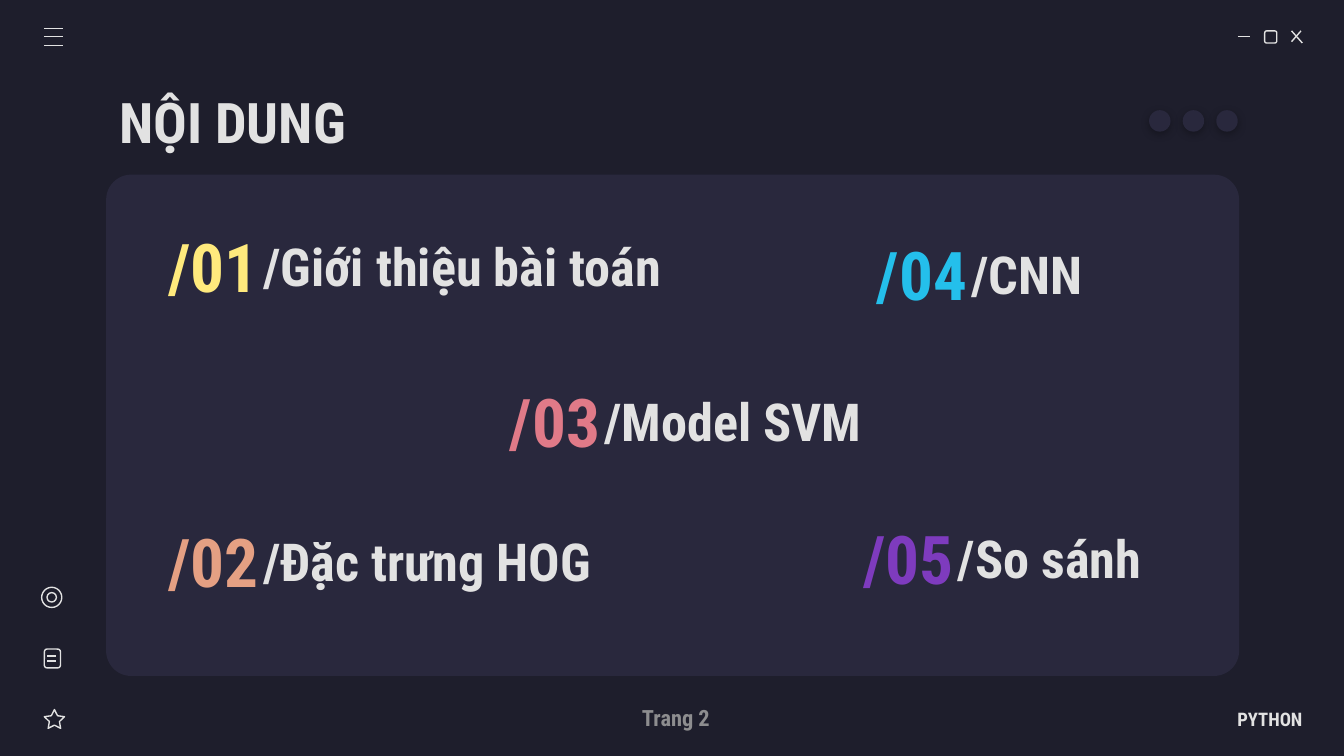
from lxml import etree
from pptx import Presentation
from pptx.dml.color import RGBColor
from pptx.enum.shapes import MSO_CONNECTOR, MSO_SHAPE
from pptx.enum.text import MSO_ANCHOR, PP_ALIGN
from pptx.oxml import parse_xml
from pptx.oxml.ns import nsdecls, qn
from pptx.util import Inches, Pt

LEFT, CENTER, RIGHT = PP_ALIGN.LEFT, PP_ALIGN.CENTER, PP_ALIGN.RIGHT
ROUND, OVAL, STAR = MSO_SHAPE.ROUNDED_RECTANGLE, MSO_SHAPE.OVAL, MSO_SHAPE.STAR_5_POINT
STRAIGHT = MSO_CONNECTOR.STRAIGHT
MIDDLE = MSO_ANCHOR.MIDDLE

FONT = "Roboto Condensed"
BACK, PANEL, LIGHT, GREY = "1E1E2C", "29283D", "E2E2E2", "8D8D8F"

TOPICS = [
    ("/01", "/Giới thiệu bài toán", "FFEA7D", 1.86, 1.7, 3.32),
    ("/02", "/Đặc trưng HOG", "E5A083", 1.86, 3.89, 3.03),
    ("/03", "/Model SVM", "E07A88", 4.4, 2.85, 2.56),
    ("/04", "/CNN", "24BFEB", 7.13, 1.76, 2.56),
    ("/05", "/So sánh", "7E3BBE", 7.03, 3.87, 2.56),
]
TEXTS = [
    ("NỘI DUNG", (0.79, 0.59, 8.43, 0.63), 30, LIGHT, LEFT, 0.1),
    ("PYTHON", (8.52, 5.2, 1.17, 0.3), 10, LIGHT, RIGHT, 0),
    ("Trang 2", (3.13, 5.19, 2.25, 0.3), 12, GREY, RIGHT, 0.1),
]
ICON_SHAPES = [
    (ROUND, (9.41, 0.23, 0.09, 0.09), 0.17),
    (STAR, (0.33, 5.28, 0.15, 0.14), 0.25),
    (ROUND, (0.33, 4.83, 0.12, 0.14), 0.17),
    (OVAL, (0.31, 4.37, 0.15, 0.15), None),
    (OVAL, (0.35, 4.41, 0.07, 0.07), None),
]
WINDOW_LINES = [
    (9.21, 0.27, 9.3, 0.27),
    (9.61, 0.23, 9.69, 0.32),
    (9.68, 0.23, 9.61, 0.31),
]
MENU_LINES = [(0.33, y, 0.47, y) for y in (0.21, 0.27, 0.34)]
NOTE_LINES = [(0.35, y, 0.42, y) for y in (4.88, 4.92)]
DOT_LEFT, DOT_TOP, DOT_SIZE, DOT_STEP, DOT_COUNT = 8.55, 0.82, 0.16, 0.25, 3
NUMBER_OFFSET, NUMBER_WIDTH, TOPIC_HEIGHT = 0.78, 1.02, 0.56

SHADOW = (
    f'<a:effectLst {nsdecls("a")}>'
    '<a:outerShdw blurRad="57150" dist="19050" dir="5400000" algn="bl" rotWithShape="0">'
    '<a:srgbClr val="000000"><a:alpha val="30000"/></a:srgbClr>'
    '</a:outerShdw></a:effectLst>'
)


def rgb(value):
    return RGBColor.from_string(value)


def add_shape(s, kind, box, fill=None, line=None, adj=None):
    sp = s.shapes.add_shape(kind, *map(Inches, box))
    sp.shadow.inherit = False
    if adj is not None:
        sp.adjustments[0] = adj
    if fill:
        sp.fill.solid()
        sp.fill.fore_color.rgb = rgb(fill)
    else:
        sp.fill.background()
    if line:
        sp.line.color.rgb = rgb(line)
        sp.line.width = Pt(0.75)
    else:
        sp.line.fill.background()
    return sp


def add_line(s, ends):
    cxn = s.shapes.add_connector(STRAIGHT, *map(Inches, ends))
    cxn.line.color.rgb = rgb(LIGHT)
    cxn.line.width = Pt(0.75)
    etree.SubElement(cxn._element.spPr, qn("a:effectLst"))


def add_text(s, text, box, size, color, align=LEFT, right=0.1):
    tf = s.shapes.add_textbox(*map(Inches, box)).text_frame
    frame = {
        "word_wrap": True,
        "vertical_anchor": MIDDLE,
        "margin_left": Inches(0.1),
        "margin_right": Inches(right),
        "margin_top": Inches(0.1),
        "margin_bottom": Inches(0.1),
    }
    for name, value in frame.items():
        setattr(tf, name, value)
    p = tf.paragraphs[0]
    p.alignment = align
    r = p.add_run()
    r.text = text
    for name, value in {"name": FONT, "size": Pt(size), "bold": True}.items():
        setattr(r.font, name, value)
    r.font.color.rgb = rgb(color)


def main():
    prs = Presentation()
    prs.slide_width, prs.slide_height = Inches(10), Inches(10 * 9 / 16)
    s = prs.slides.add_slide(prs.slide_layouts[6])
    s.background.fill.solid()
    s.background.fill.fore_color.rgb = rgb(BACK)

    add_shape(s, ROUND, (0.79, 1.3, 8.43, 3.73), fill=PANEL, adj=0.05)
    for kind, box, adj in ICON_SHAPES:
        add_shape(s, kind, box, line=LIGHT, adj=adj)
    for ends in WINDOW_LINES + MENU_LINES + NOTE_LINES:
        add_line(s, ends)

    for i in range(DOT_COUNT):
        box = (DOT_LEFT + i * DOT_STEP, DOT_TOP, DOT_SIZE, DOT_SIZE)
        spPr = add_shape(s, OVAL, box, fill=PANEL)._element.spPr
        spPr.replace(spPr.find(qn("a:effectLst")), parse_xml(SHADOW))

    for number, label, color, x, y, width in TOPICS:
        add_text(s, label, (x, y, width, TOPIC_HEIGHT), 28, LIGHT)
        box = (x - NUMBER_OFFSET, y, NUMBER_WIDTH, TOPIC_HEIGHT)
        add_text(s, number, box, 36, color, CENTER)
    for item in TEXTS:
        add_text(s, *item)

    prs.save("out.pptx")


if __name__ == "__main__":
    main()
